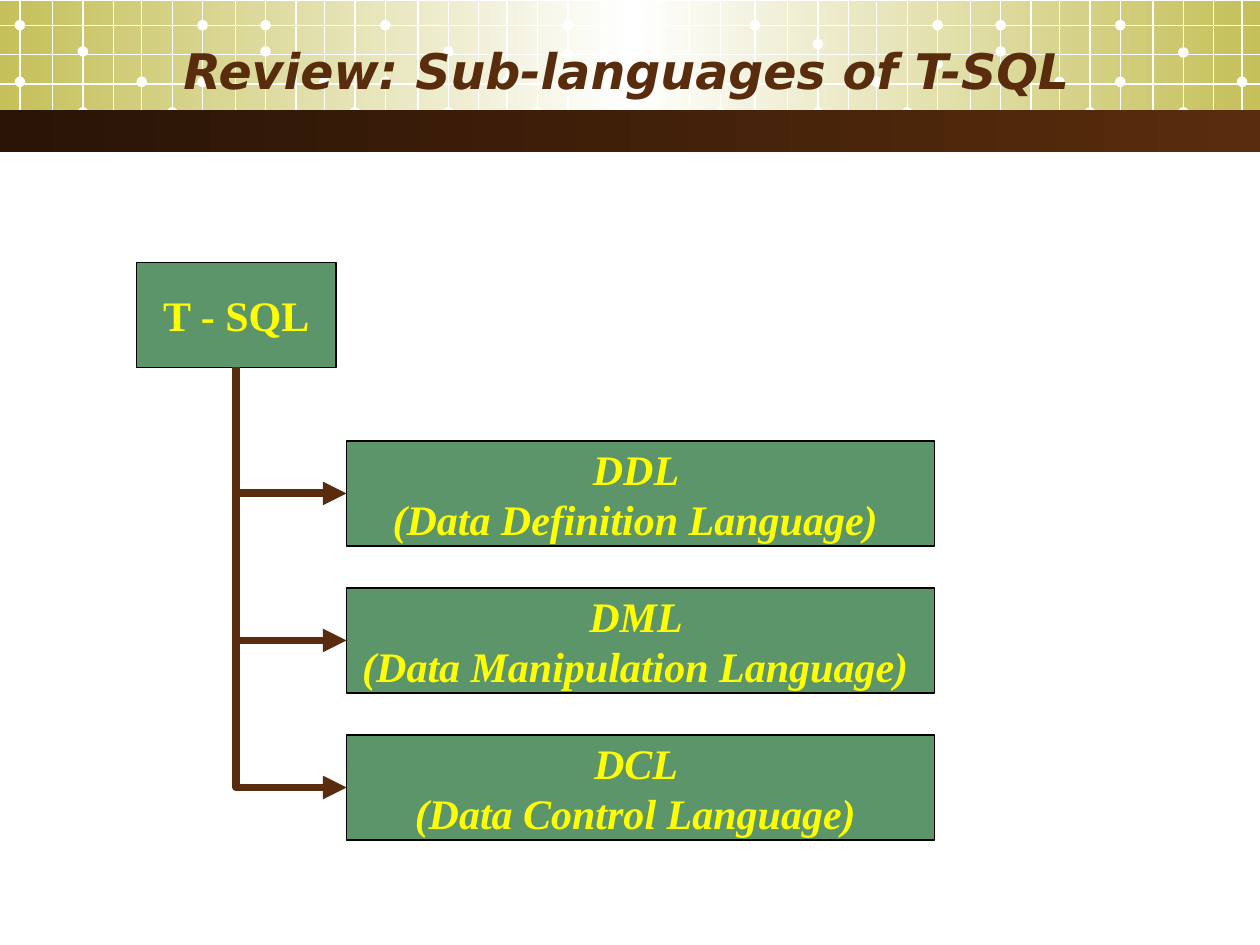
from copy import deepcopy

from lxml.etree import SubElement
from pptx import Presentation
from pptx.dml.color import RGBColor
from pptx.enum.shapes import MSO_CONNECTOR, MSO_SHAPE
from pptx.enum.text import MSO_ANCHOR, PP_ALIGN
from pptx.oxml.ns import qn
from pptx.util import Inches, Pt

COLORS = {
    "olive": "C5C059",
    "white": "FFFFFF",
    "dark": "291406",
    "brown": "592C0D",
    "green": "5B9569",
    "black": "000000",
    "yellow": "FFFF00",
}
COLS, ROWS = 120, 90
BOX_H = 10
LANGUAGES = [
    ("DDL", "Data Definition Language"),
    ("DML", "Data Manipulation Language"),
    ("DCL", "Data Control Language"),
]
MESH_OFFSETS = [0, 3.1, 6, 8.9, 11.6, 14.5]
MESH_ROWS = [2.4, 5.2, 8, 10.7]
FIRST_DOTS = [7.8, 7.8, 7.8, 5.2, 7.9, 6.1, 7.8]
THIRD_DOTS = [4.9, 4.9, 4.9, 5, 4.2, 4.9, 5]


def rgb(name):
    return RGBColor.from_string(COLORS[name])


def write_text(tf, text, font="Times New Roman", size=24, color="yellow",
               bold=True, italic=False, align=PP_ALIGN.CENTER, wrap=False):
    tf.word_wrap = wrap
    tf.vertical_anchor = MSO_ANCHOR.MIDDLE
    for i, line in enumerate(text.split("\n")):
        p = tf.paragraphs[0] if i == 0 else tf.add_paragraph()
        p.alignment = align
        r = p.add_run()
        r.text = line
        r.font.name, r.font.size = font, Pt(size)
        r.font.bold, r.font.italic = bold, italic
        r.font.color.rgb = rgb(color)


class Deck:
    """Hold the style and current slide, measured on a 120 by 90 grid."""

    def __init__(self):
        self.prs = Presentation()
        self.prs.slide_width, self.prs.slide_height = Inches(10), Inches(7.5)
        self.s = self.prs.slides.add_slide(self.prs.slide_layouts[6])

    def grid(self, x, y):
        return (round(x * self.prs.slide_width / COLS),
                round(y * self.prs.slide_height / ROWS))

    def shape(self, x, y, w, h, fill=None, kind=MSO_SHAPE.RECTANGLE):
        sp = self.s.shapes.add_shape(kind, *self.grid(x, y), *self.grid(w, h))
        sp.shadow.inherit = False
        sp.line.fill.background()
        if fill:
            sp.fill.solid()
            sp.fill.fore_color.rgb = rgb(fill)
        return sp

    def band(self, y, h, colors):
        sp = self.shape(0, y, COLS, h)
        sp.fill.gradient()
        sp.fill.gradient_angle = 0
        stops = sp._element.find(".//" + qn("a:gsLst"))
        while len(stops) < len(colors):
            stops.append(deepcopy(stops[-1]))
        for i, (stop, color) in enumerate(zip(sp.fill.gradient_stops, colors)):
            stop.position = i / (len(colors) - 1)
            stop.color.rgb = rgb(color)

    def dot(self, x, y):
        self.shape(x - 0.5, y - 0.5, 1, 1, "white", MSO_SHAPE.OVAL)

    def line(self, x1, y1, x2, y2, color="white", width=0.75,
             kind=MSO_CONNECTOR.STRAIGHT):
        cxn = self.s.shapes.add_connector(kind, *self.grid(x1, y1), *self.grid(x2, y2))
        cxn.line.color.rgb = rgb(color)
        cxn.line.width = Pt(width)
        SubElement(cxn._element.spPr, qn("a:effectLst"))
        return cxn

    def elbow_arrow(self, x1, y1, x2, y2):
        cx, cy = (x1 + x2) / 2, (y1 + y2) / 2
        dx, dy = (y2 - y1) / 2, (x2 - x1) / 2
        cxn = self.line(cx + dx, cy - dy, cx - dx, cy + dy, "brown", 4.5,
                        MSO_CONNECTOR.ELBOW)
        props = cxn._element.spPr
        props.find(qn("a:xfrm")).set("rot", str(270 * 60000))
        props.find(qn("a:prstGeom")).set("prst", "bentConnector2")
        SubElement(props.find(qn("a:ln")), qn("a:tailEnd"), type="triangle")

    def box(self, x, y, w, text, **fmt):
        sp = self.shape(x, y, w, BOX_H, "green")
        sp.line.color.rgb = rgb("black")
        sp.line.width = Pt(0.75)
        write_text(sp.text_frame, text, **fmt)

    def title(self, x, y, w, h, text):
        sp = self.s.shapes.add_textbox(*self.grid(x, y), *self.grid(w, h))
        write_text(sp.text_frame, text, font="DejaVu Sans", size=28, color="brown",
                   italic=True, align=PP_ALIGN.RIGHT, wrap=True)

    def header(self):
        self.band(0.1, 12.2, ["olive", "white", "olive"])
        for i, (first, third) in enumerate(zip(FIRST_DOTS, THIRD_DOTS)):
            start = 1.9 + 17.4 * i + (0.4 if i > 3 else 0)
            xs = [start + dx for dx in MESH_OFFSETS if start + dx < COLS]
            for x in xs:
                self.line(x, 0, x, 13.2)
            dots = [(0, first), (0, 2.4), (2, third),
                    (2, 2.4 if i % 2 else 10.7), (4, 7.8), (5, 10.7)]
            for col, y in dots:
                if col < len(xs):
                    self.dot(xs[col], y)
        for y in MESH_ROWS:
            self.line(0, y, COLS, y)
        self.band(10.5, 4, ["dark", "brown"])


def main():
    deck = Deck()
    deck.header()
    deck.title(6, 3, 97, 7.4, "Review: Sub-languages of T-SQL")
    root_x, root_y, root_w = 13, 25, 19
    deck.box(root_x, root_y, root_w, "T - SQL")
    for i, (short, name) in enumerate(LANGUAGES):
        x, y = 33, 42 + 14 * i
        deck.box(x, y, 56, f"{short} \n({name}) ", italic=True)
        deck.elbow_arrow(root_x + root_w / 2, root_y + BOX_H, x, y + BOX_H / 2)
    deck.prs.save("out.pptx")


if __name__ == "__main__":
    main()
